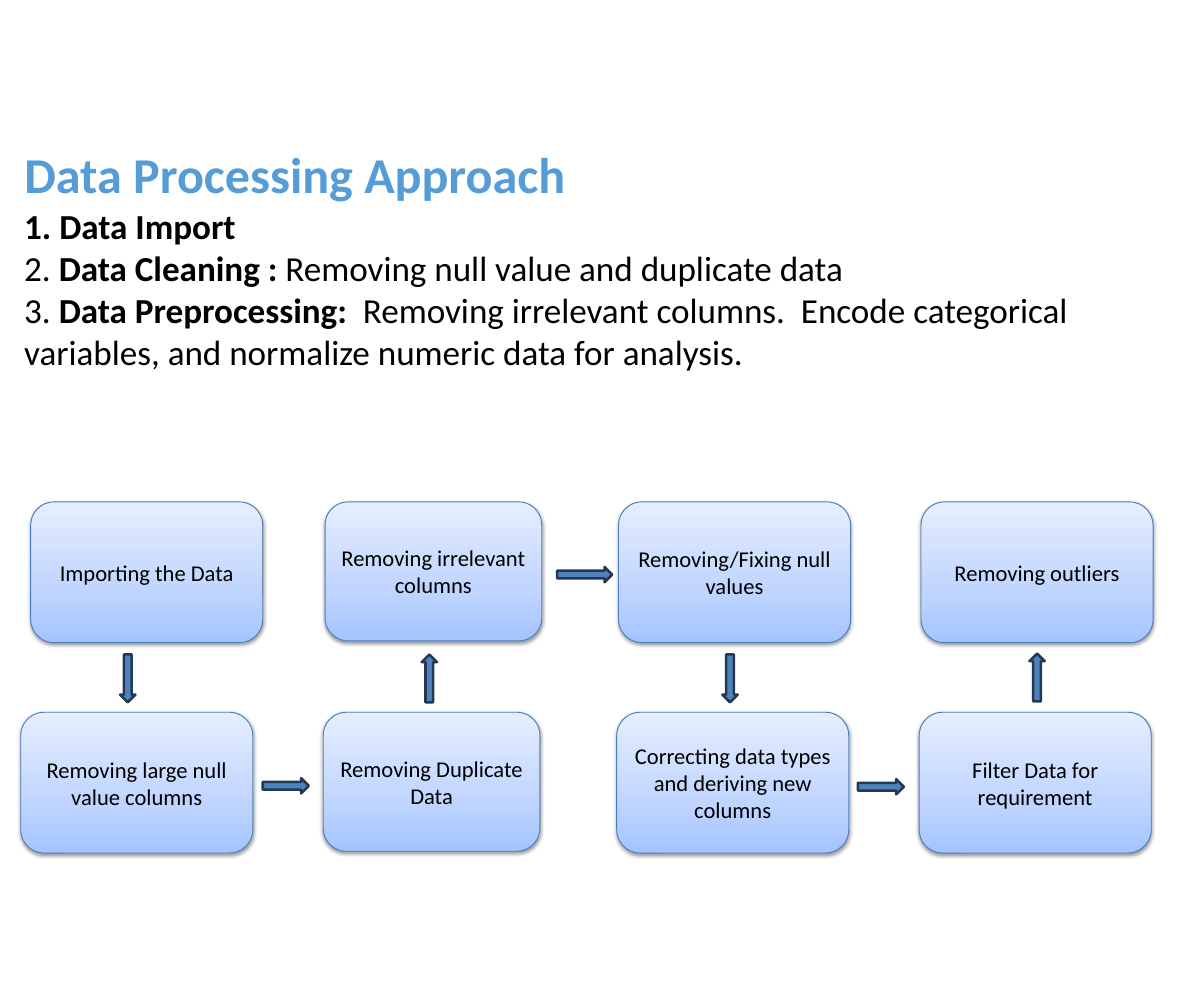
from copy import deepcopy
from dataclasses import dataclass

from lxml.etree import SubElement
from pptx import Presentation
from pptx.dml.color import RGBColor
from pptx.enum.shapes import MSO_SHAPE
from pptx.enum.text import MSO_ANCHOR, MSO_AUTO_SIZE, PP_ALIGN
from pptx.oxml.ns import qn
from pptx.util import Inches, Pt

FONT = "Calibri"
SLIDE_WIDTH = Inches(40 / 3)
SLIDE_HEIGHT = Inches(11)
GRADIENT = [(0, "A4C4FF"), (0.35, "BFD4FF"), (1, "E6EEFF")]
ROW_TOPS = [5.56, 7.89]
COLUMN_LEFTS = [0.23, 3.58, 6.83, 10.18]
ARROW_THICKNESS = 0.17


@dataclass(frozen=True)
class Step:
    text: str
    column: int
    row: int
    shift: float = 0.02
    width: float = 2.57
    height: float = 1.56


@dataclass(frozen=True)
class Arrow:
    kind: MSO_SHAPE
    left: float
    top: float
    length: float


STEPS = [
    Step("Importing the Data", 0, 0, shift=0.11),
    Step("Removing irrelevant columns", 1, 0, width=2.4, height=1.54),
    Step("Removing/Fixing null values", 2, 0),
    Step("Removing outliers", 3, 0),
    Step("Removing large null value columns", 0, 1, shift=0),
    Step("Removing Duplicate Data", 1, 1, shift=0, width=2.4, height=1.54),
    Step("Correcting data types and deriving new columns", 2, 1, shift=0),
    Step("Filter Data for requirement", 3, 1, shift=0),
]

ARROWS = [
    Arrow(MSO_SHAPE.DOWN_ARROW, 1.33, 7.25, 0.53),
    Arrow(MSO_SHAPE.RIGHT_ARROW, 2.91, 8.62, 0.51),
    Arrow(MSO_SHAPE.UP_ARROW, 4.67, 7.25, 0.53),
    Arrow(MSO_SHAPE.RIGHT_ARROW, 6.17, 6.28, 0.61),
    Arrow(MSO_SHAPE.DOWN_ARROW, 8, 7.25, 0.53),
    Arrow(MSO_SHAPE.RIGHT_ARROW, 9.5, 8.63, 0.51),
    Arrow(MSO_SHAPE.UP_ARROW, 11.4, 7.24, 0.53),
]

APPROACH = [
    [("1. Data Import", True)],
    [("2. ", False), ("Data Cleaning : ", True), ("Removing null value and duplicate data", False)],
    [
        ("3. ", False),
        ("Data Preprocessing:  ", True),
        (
            "Removing irrelevant columns.  Encode categorical variables, "
            "and normalize numeric data for analysis.",
            False,
        ),
    ],
]


def color(value: str) -> RGBColor:
    return RGBColor.from_string(value)


def add_text(paragraph, text: str, *, size: float, fill="000000", bold=False, align=PP_ALIGN.LEFT) -> None:
    paragraph.alignment = align
    run = paragraph.add_run()
    run.text = text
    run.font.name = FONT
    run.font.size = Pt(size)
    run.font.bold = bold
    run.font.color.rgb = color(fill)


def format_frame(frame, anchor: MSO_ANCHOR) -> None:
    frame.word_wrap = True
    frame.auto_size = MSO_AUTO_SIZE.NONE
    frame.vertical_anchor = anchor


def add_title(slide) -> None:
    title = slide.shapes.title
    title.left, title.top = Inches(0.17), Inches(1.54)
    title.width, title.height = Inches(12.58), Inches(0.77)
    format_frame(title.text_frame, MSO_ANCHOR.TOP)
    add_text(title.text_frame.paragraphs[0], "Data Processing Approach", size=40, fill="569CD6", bold=True)


def add_approach(slide) -> None:
    box = slide.shapes.add_textbox(Inches(0.17), Inches(2.21), Inches(12.58), Inches(2.46))
    frame = box.text_frame
    format_frame(frame, MSO_ANCHOR.TOP)
    for index, runs in enumerate(APPROACH):
        paragraph = frame.add_paragraph() if index else frame.paragraphs[0]
        for text, bold in runs:
            add_text(paragraph, text, size=28, bold=bold)


def fill_gradient(shape) -> None:
    shape.fill.gradient()
    shape.fill.gradient_angle = 90
    stop_list = next(shape.element.spPr.iter(qn("a:gsLst")))
    stop_list.insert(1, deepcopy(stop_list[0]))
    for stop, (position, value) in zip(shape.fill.gradient_stops, GRADIENT):
        stop.position = position
        stop.color.rgb = color(value)


def add_shadow(shape) -> None:
    shape.shadow.inherit = False
    effects = shape.element.spPr.find(qn("a:effectLst"))
    shadow = SubElement(
        effects,
        qn("a:outerShdw"),
        blurRad=str(Pt(3.1)),
        dist=str(Pt(1.6)),
        dir="5400000",
        rotWithShape="0",
    )
    shade = SubElement(shadow, qn("a:srgbClr"), val="000000")
    SubElement(shade, qn("a:alpha"), val="38000")


def add_step(slide, step: Step) -> None:
    shape = slide.shapes.add_shape(
        MSO_SHAPE.ROUNDED_RECTANGLE,
        Inches(COLUMN_LEFTS[step.column] + step.shift),
        Inches(ROW_TOPS[step.row]),
        Inches(step.width),
        Inches(step.height),
    )
    fill_gradient(shape)
    shape.line.color.rgb = color("4B7EBC")
    shape.line.width = Pt(0.75)
    add_shadow(shape)
    format_frame(shape.text_frame, MSO_ANCHOR.MIDDLE)
    add_text(shape.text_frame.paragraphs[0], step.text, size=18, align=PP_ALIGN.CENTER)


def add_arrow(slide, arrow: Arrow) -> None:
    width, height = ARROW_THICKNESS, arrow.length
    if arrow.kind == MSO_SHAPE.RIGHT_ARROW:
        width, height = height, width
    shape = slide.shapes.add_shape(
        arrow.kind, Inches(arrow.left), Inches(arrow.top), Inches(width), Inches(height)
    )
    shape.shadow.inherit = False
    shape.fill.solid()
    shape.fill.fore_color.rgb = color("4F81BD")
    shape.line.color.rgb = color("233953")
    shape.line.width = Pt(2)


def main() -> None:
    presentation = Presentation()
    presentation.slide_width = SLIDE_WIDTH
    presentation.slide_height = SLIDE_HEIGHT
    slide = presentation.slides.add_slide(presentation.slide_layouts.get_by_name("Title Only"))
    add_title(slide)
    add_approach(slide)
    for step in STEPS:
        add_step(slide, step)
    for arrow in ARROWS:
        add_arrow(slide, arrow)
    presentation.save("out.pptx")


if __name__ == "__main__":
    main()
